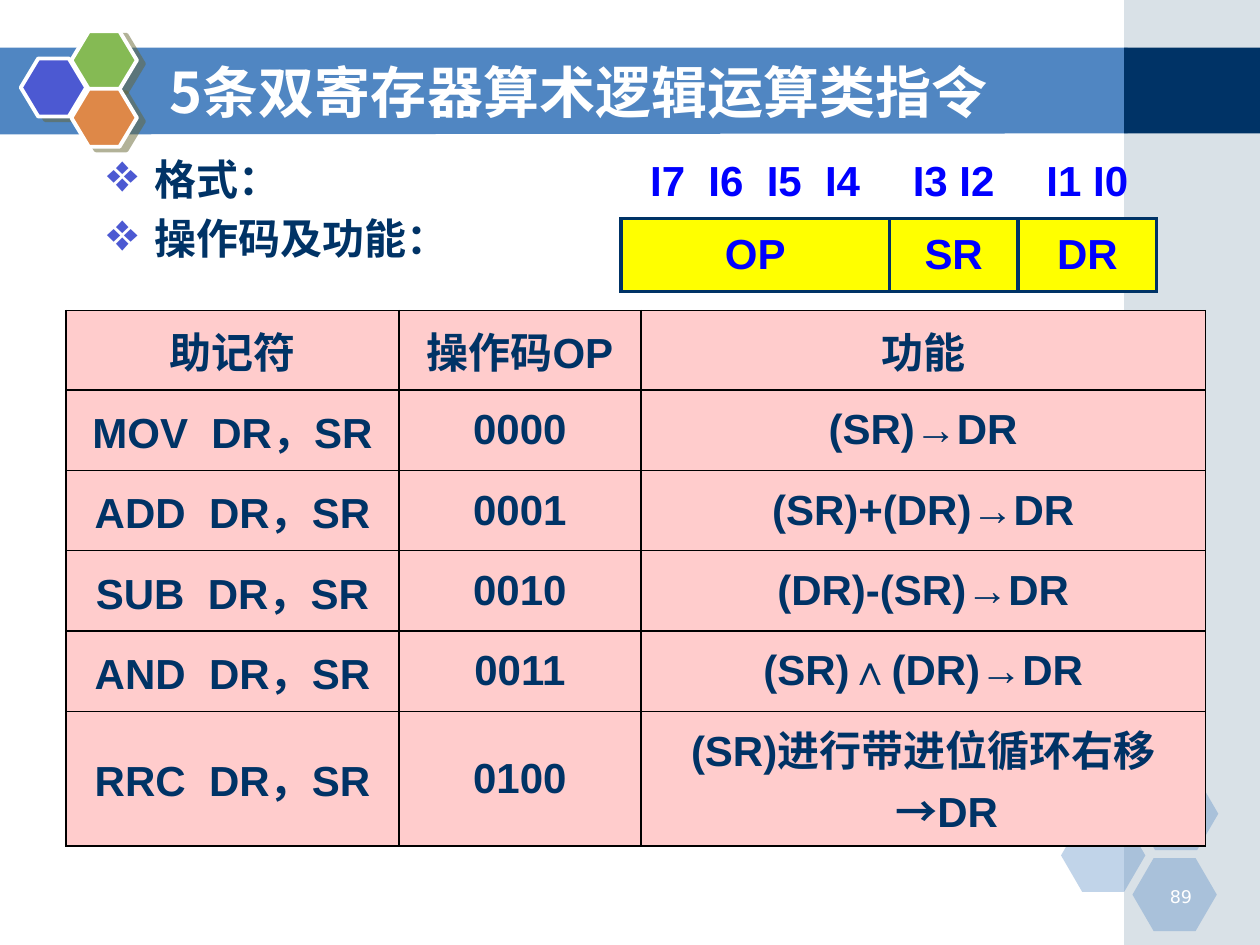
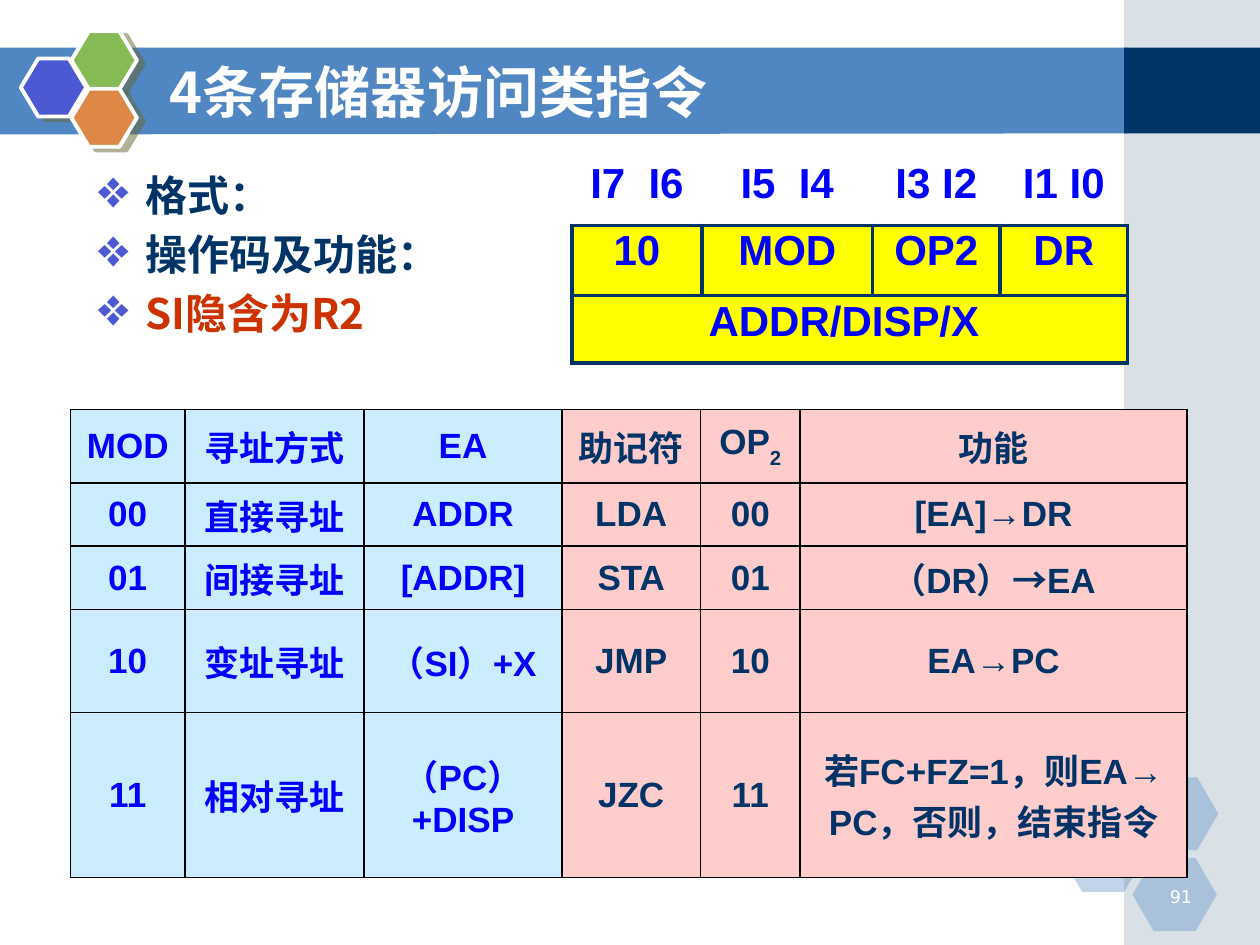
from lxml import etree
from pptx import Presentation, util as u
from pptx.dml.color import RGBColor
from pptx.enum import shapes, text
from pptx.oxml.ns import qn

INK = {
    "white": "FFFFFF", "black": "000000", "navy": "003366", "band": "5086C2",
    "panel": "A0B5C4", "violet": "4C59D2", "green": "85BA54", "orange": "DE8848",
    "shade": "666633", "blue": "0000FF", "red": "CC3300", "yellow": "FFFF00",
    "pink": "FFCCCC", "sky": "CCECFF",
}
SANS, HAN = "Arial", "Noto Sans CJK SC"
SHAPE = shapes.MSO_SHAPE
ALIGN = text.PP_ALIGN
MID = text.MSO_ANCHOR.MIDDLE
TOP = text.MSO_ANCHOR.TOP


def rgb(name):
    return RGBColor.from_string(INK[name])


def sub(node, tag, **attrs):
    return etree.SubElement(node, qn(tag), attrs)


def box(x, y, w, h):
    return [u.Cm(n) for n in (x, y, w, h)]


def style(par, size, ink, name=SANS, bold=True, align=ALIGN.LEFT):
    par.alignment = align
    font = par.font
    font.size, font.bold, font.name = u.Pt(size), bold, name
    font.color.rgb = rgb(ink)
    sub(par._p.pPr.find(qn("a:defRPr")), "a:ea", typeface=HAN)


def hang(par):
    """Give the paragraph a hanging indent and return its properties."""
    props = par._p.get_or_add_pPr()
    props.set("marL", str(u.Cm(0.95)))
    props.set("indent", str(-u.Cm(0.95)))
    return props


def paint(shape, ink, alpha=None):
    shape.shadow.inherit = False
    shape.fill.solid()
    shape.fill.fore_color.rgb = rgb(ink)
    shape.line.fill.background()
    if alpha:
        color = shape._element.spPr.find(qn("a:solidFill"))[0]
        sub(color, "a:alpha", val=str(alpha * 1000))


def block(slide, kind, area, ink, alpha=None):
    shape = slide.shapes.add_shape(kind, *box(*area))
    paint(shape, ink, alpha)
    return shape


def badge(slide, x, y, ink):
    """Draw a white-edged hexagon with a hard shadow."""
    hexa = block(slide, SHAPE.HEXAGON, (x, y, 1.32, 1.17), ink)
    hexa.adjustments[0] = 0.3
    hexa.line.color.rgb = rgb("white")
    hexa.line.width = u.Pt(2.25)
    effect = hexa._element.spPr.find(qn("a:effectLst"))
    shade = sub(effect, "a:outerShdw", dist=str(u.Pt(4.5)), dir=str(27 * 60000),
                algn="ctr", rotWithShape="0")
    color = sub(shade, "a:srgbClr", val=INK["shade"])
    sub(color, "a:alpha", val="50000")


def frame(slide):
    """Draw the band, side panel and hexagons that every slide has."""
    pen = slide.shapes.build_freeform(u.Cm(-0.03), u.Cm(0.96))
    corners = [(22.73, 0.96), (22.73, 2.69), (-0.03, 2.71)]
    pen.add_line_segments([(u.Cm(x), u.Cm(y)) for x, y in corners], close=True)
    paint(pen.convert_to_shape(), "band")
    block(slide, SHAPE.RECTANGLE, (22.66, 0, 2.74, 19.05), "panel", 40)
    block(slide, SHAPE.RECTANGLE, (22.66, 0.96, 2.74, 1.73), "navy")
    for x, y in [(21.39, 16.51), (22.86, 15.67), (22.83, 17.3)]:
        hexa = block(slide, SHAPE.HEXAGON, (x, y, 1.7, 1.47), "band", 35)
        hexa.adjustments[0] = 0.29
    badge(slide, 0.42, 1.18, "violet")
    badge(slide, 1.44, 0.63, "green")
    badge(slide, 1.44, 1.79, "orange")


def start(deck, title, number):
    """Add a slide with its frame, title and page number."""
    slide = deck.slides.add_slide(deck.slide_layouts[5])
    frame(slide)
    page = slide.shapes.add_textbox(*box(23.01, 17.73, 1.27, 0.64)).text_frame
    page.word_wrap = True
    page.text = str(number)
    style(page.paragraphs[0], 10, "white", "DejaVu Sans", False, ALIGN.RIGHT)

    head = slide.shapes.title
    head.left, head.top, head.width, head.height = box(3.17, 1.05, 18.62, 1.57)
    head.element.getparent().append(head.element)
    head.text_frame.text = title
    head.text_frame.auto_size = text.MSO_AUTO_SIZE.NONE
    head.text_frame.vertical_anchor = MID
    style(head.text_frame.paragraphs[0], 32, "white", HAN)
    return slide


def points(slide, area, items):
    body = slide.shapes.add_textbox(*box(*area)).text_frame
    body.word_wrap = True
    body.margin_top = u.Cm(0.17)
    for i, (words, ink) in enumerate(items):
        par = body.add_paragraph() if i else body.paragraphs[0]
        par.text = words
        if i:
            par.space_before = u.Pt(4.8)
        props = hang(par)
        sub(sub(props, "a:buClr"), "a:srgbClr", val=INK["violet"])
        sub(props, "a:buSzPct", val="128000")
        sub(props, "a:buChar", char="❖")
        style(par, 24, ink, HAN)


def edge(cell, sides, ink, width):
    """Line the named sides of a cell and clear the others."""
    props = cell._tc.get_or_add_tcPr()
    for i, side in enumerate("LRTB"):
        line = etree.Element(qn("a:ln" + side), w=str(u.Pt(width)))
        if side in sides:
            sub(sub(line, "a:solidFill"), "a:srgbClr", val=INK[ink])
        else:
            sub(line, "a:noFill")
        props.insert(i, line)


def write(cell, words, size, ink, indent):
    """Fill a cell with text; what follows an underscore is a subscript."""
    base, _, low = words.partition("_")
    par = cell.text_frame.paragraphs[0]
    par.add_run().text = base
    if low:
        run = par.add_run()
        run.text = low
        run._r.get_or_add_rPr().set("baseline", "-30000")
    if indent:
        hang(par)
    style(par, size, ink, align=ALIGN.CENTER)


def grid(slide, x, y, cols, rows, cells, look, size, pad, line,
         anchor=MID, indent=False):
    """Add a table; look(row, col) gives fill, text colour and lined sides."""
    area = box(x, y, sum(cols), sum(rows))
    table = slide.shapes.add_table(len(rows), len(cols), *area).table
    table.first_row = table.horz_banding = False
    for col, width in zip(table.columns, cols):
        col.width = u.Cm(width)
    for row, height in zip(table.rows, rows):
        row.height = u.Cm(height)
    for r, texts in enumerate(cells):
        for c in range(len(cols)):
            cell = table.cell(r, c)
            tint, ink, sides = look(r, c)
            if tint:
                cell.fill.solid()
                cell.fill.fore_color.rgb = rgb(tint)
            else:
                cell.fill.background()
            edge(cell, sides, *line)
            cell.margin_left = cell.margin_right = u.Cm(pad[0])
            cell.margin_top = cell.margin_bottom = u.Cm(pad[1])
            cell.vertical_anchor = anchor
            if c < len(texts):
                write(cell, texts[c], size, ink, indent)
        if len(texts) < len(cols):
            table.cell(r, len(texts) - 1).merge(table.cell(r, len(cols) - 1))


def format_grid(slide, x, y, cols, rows, cells, anchor):
    """Add an instruction format: bit numbers over yellow fields."""
    def look(r, c):
        return ("yellow", "blue", "LRTB") if r else (None, "blue", "B")
    grid(slide, x, y, cols, rows, cells, look, 24, (0.05, 0.05),
         ("navy", 2.25), anchor)


def code_grid(slide, x, y, cols, rows, cells, size, modes=0, indent=False):
    """Add an opcode table whose first columns may show address modes."""
    def look(r, c):
        pair = ("sky", "blue") if c < modes else ("pink", "navy")
        return (*pair, "LRTB")
    grid(slide, x, y, cols, rows, cells, look, size, (0.25, 0.13),
         ("black", 1), indent=indent)


def logic(deck):
    slide = start(deck, "5条双寄存器算术逻辑运算类指令", 89)
    points(slide, (1.91, 2.92, 9.4, 2.79),
           [("格式：", "navy"), ("操作码及功能：", "navy")])
    format_grid(slide, 12.52, 2.94, [5.41, 2.59, 2.8], [1.47] * 2, [
        ["I7  I6  I5  I4", "I3 I2", "I1 I0"],
        ["OP", "SR", "DR"],
    ], MID)
    acts = [
        ("MOV", "(SR)→DR"),
        ("ADD", "(SR)+(DR)→DR"),
        ("SUB", "(DR)-(SR)→DR"),
        ("AND", "(SR)∧(DR)→DR"),
        ("RRC", "(SR)进行带进位循环右移→DR"),
    ]
    cells = [["助记符", "操作码OP", "功能"]]
    cells += [[f"{name}  DR，SR", f"{i:04b}", act]
              for i, (name, act) in enumerate(acts)]
    code_grid(slide, 1.33, 6.26, [6.71, 4.88, 11.38],
              [1.6] + [1.62] * 4 + [2.71], cells, 24, indent=True)


def memory(deck):
    slide = start(deck, "4条存储器访问类指令", 91)
    points(slide, (1.73, 3.25, 11.2, 3.81),
           [("格式：", "navy"), ("操作码及功能：", "navy"), ("SI隐含为R2", "red")])
    format_grid(slide, 11.53, 3.19, [2.62, 3.44, 2.57, 2.57], [1.35, 1.42, 1.36], [
        ["I7  I6", "I5  I4", "I3 I2", "I1 I0"],
        ["10", "MOD", "OP2", "DR"],
        ["ADDR/DISP/X "],
    ], TOP)
    acts = [
        ("直接寻址", "ADDR", "LDA", "[EA]→DR"),
        ("间接寻址", "[ADDR]", "STA", "（DR）→EA"),
        ("变址寻址", "（SI）+X", "JMP", "EA→PC"),
        ("相对寻址", "（PC）+DISP", "JZC", "若FC+FZ=1，则EA→ PC，否则，结束指令"),
    ]
    cells = [["MOD", "寻址方式", "EA", "助记符", "OP_2", "功能"]]
    cells += [[f"{i:02b}", mode, addr, name, f"{i:02b}", act]
              for i, (mode, addr, name, act) in enumerate(acts)]
    code_grid(slide, 1.42, 8.26, [2.31, 3.61, 3.99, 2.79, 2.01, 7.8],
              [1.48, 1.27, 1.28, 2.07, 3.33], cells, 20, modes=3)


def main():
    deck = Presentation()
    deck.slide_width, deck.slide_height = u.Cm(25.4), u.Cm(19.05)
    logic(deck)
    memory(deck)
    deck.save("out.pptx")


if __name__ == "__main__":
    main()
